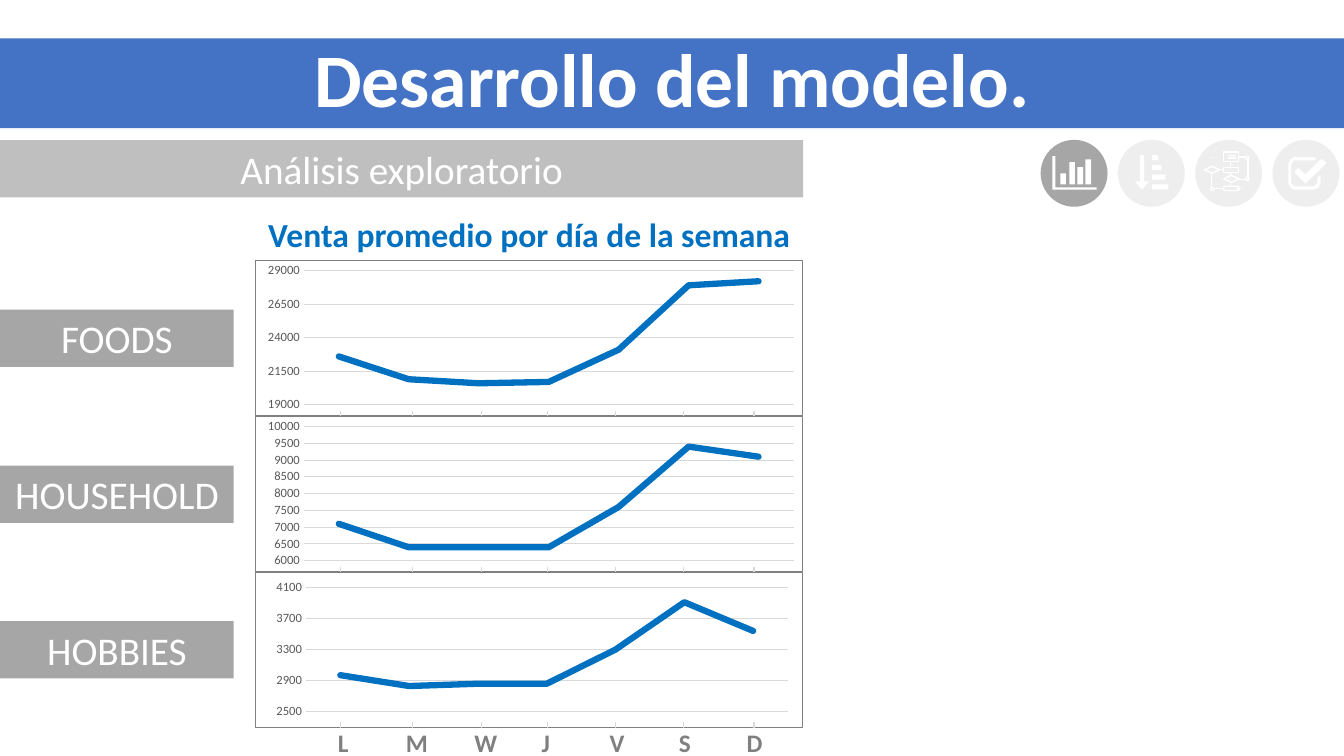
from dataclasses import dataclass
from lxml.etree import SubElement
from pptx import Presentation
from pptx.chart.data import CategoryChartData
from pptx.dml.color import RGBColor
from pptx.enum.chart import XL_CHART_TYPE, XL_TICK_MARK
from pptx.enum.shapes import MSO_CONNECTOR, MSO_SHAPE
from pptx.enum.text import MSO_ANCHOR, PP_ALIGN
from pptx.oxml import parse_xml
from pptx.oxml.ns import nsdecls, qn
from pptx.util import Pt

FONT = "Calibri"
HEX = {
    "band": "4472C4", "line": "0070C0", "white": "FFFFFF", "grid": "D9D9D9",
    "head": "BFBFBF", "tag": "A6A6A6", "edge": "808080", "axis": "595959",
    "black": "000000",
}
RECT, OVAL = MSO_SHAPE.RECTANGLE, MSO_SHAPE.OVAL
DIAMOND, ROUND = MSO_SHAPE.DIAMOND, MSO_SHAPE.ROUNDED_RECTANGLE

Box = tuple[float, float, float, float]
Path = list[tuple[float, float]]


@dataclass
class Style:
    size: float
    color: str
    bold: bool = False
    align: PP_ALIGN = PP_ALIGN.CENTER


@dataclass
class Panel:
    name: str
    top: float
    low: float
    high: float
    step: float
    plot: Box
    vals: tuple[float, ...]


WIDE = (0.088, 0.064, 0.895, 0.866)
PANELS = [
    Panel("FOODS", 185.8, 19000, 29000, 2500, WIDE,
          (22600, 20900, 20600, 20700, 23100, 27900, 28200)),
    Panel("HOUSEHOLD", 297.2, 6000, 10000, 500, WIDE,
          (7100, 6400, 6400, 6400, 7600, 9400, 9100)),
    Panel("HOBBIES", 408.3, 2500, 4100, 400, (0.092, 0.099, 0.88, 0.802),
          (2970, 2830, 2860, 2860, 3300, 3910, 3540)),
]
LEFT, WIDTH, TALL = 182.2, 391.7, 111.5
TICKS = (243.4, 294.5, 344.2, 391.4, 439.9, 488.2, 538.6)
DAYS = {"L": 245.2, "M": 294.8, "W": 343.8, "J": 389.9,
        "V": 440.3, "S": 489.2, "D": 538.2}


def block(x: float, y: float, w: float, h: float) -> Path:
    """Corners of a rectangle."""
    return [(x, y), (x + w, y), (x + w, y + h), (x, y + h)]


BARS = [block(x, y, 4, 131.8 - y) for x, y in
        ((757.4, 123.8), (769.7, 119.5), (763.9, 115.9), (775.4, 113.8))]
BARS.append([(751.7, 111.6), (753.8, 111.6), (753.8, 133.9),
             (783.4, 133.9), (783.4, 135.4), (751.7, 135.4)])
SORT = [block(823, 110.9 + 6.97 * i, w, 3.5)
        for i, w in enumerate((4.3, 6.5, 9.4, 11.5))]
SORT.append([(814.3, 110.9), (817.2, 110.9), (817.2, 129.6), (820.8, 129.6),
             (815.8, 135.4), (810.7, 129.6), (814.3, 129.6)])
CHECK = [
    [(944.6, 113.8), (947.5, 116.6), (932.4, 131), (924.5, 122.9),
     (927.4, 119.8), (932.4, 124.6), (943.2, 113.8)],
    [(924.5, 112.3), (938.2, 112.3), (940.3, 113.3), (938.9, 114.5),
     (924.5, 114.5), (922.3, 117.4), (922.3, 131), (924.5, 133.2),
     (938.2, 133.2), (941, 131), (941, 126.7), (943.2, 125.3),
     (943.2, 131), (941.8, 133.9), (938.2, 135.4), (924.5, 135.4),
     (921.6, 133.9), (920.2, 131), (920.2, 117.4), (921.6, 113.8)],
]
NODES = [
    (RECT, (874.1, 108.7, 10.8, 6.5)), (RECT, (874.1, 119.5, 10.8, 3.6)),
    (DIAMOND, (860.4, 118.8, 10.8, 5)), (DIAMOND, (874.1, 125.3, 10.8, 5)),
    (OVAL, (864.7, 133.9, 2.2, 2.2)), (ROUND, (874.1, 133.2, 10.8, 2.9)),
    (OVAL, (889.9, 111.6, 2.2, 2.2)), (OVAL, (889.9, 126.7, 2.2, 2.2)),
]
LINKS = [
    (879.1, 115.2, 879.1, 119.5), (870.5, 121, 874.1, 121),
    (865.4, 133.9, 865.4, 123.8), (889.9, 112.3, 884.9, 112.3),
    (891.4, 113, 891.4, 126.7), (882.7, 110.9, 877, 110.9),
    (882.7, 113, 877, 113), (879.1, 123.1, 879.1, 125.3),
    (879.1, 130.3, 879.1, 133.2), (874.1, 134.6, 866.2, 134.6),
    (884.9, 128.2, 889.9, 128.2),
]


def rgb(name: str) -> RGBColor:
    return RGBColor.from_string(HEX[name])


def write(frame, text: str, style: Style) -> None:
    para = frame.paragraphs[0]
    para.alignment = style.align
    run = para.add_run()
    run.text = text
    font = run.font
    font.name, font.size, font.bold = FONT, Pt(style.size), style.bold
    font.color.rgb = rgb(style.color)


def label(shapes, box: Box, text: str, style: Style, wrap: bool = True):
    frame = shapes.add_textbox(*map(Pt, box)).text_frame
    frame.word_wrap = wrap
    write(frame, text, style)
    return frame


def paint(shape, fill: str | None, edge: str | None = None) -> None:
    shape.shadow.inherit = False
    if fill:
        shape.fill.solid()
        shape.fill.fore_color.rgb = rgb(fill)
    else:
        shape.fill.background()
    if edge:
        shape.line.color.rgb = rgb(edge)
        shape.line.width = Pt(1)
    else:
        shape.line.fill.background()


def form(shapes, kind: MSO_SHAPE, box: Box, fill: str | None,
         edge: str | None = None):
    shape = shapes.add_shape(kind, *map(Pt, box))
    paint(shape, fill, edge)
    return shape


def banner(shapes, box: Box, fill: str, text: str) -> None:
    frame = form(shapes, RECT, box, fill).text_frame
    frame.vertical_anchor = MSO_ANCHOR.MIDDLE
    write(frame, text, Style(28, "white"))


def link(shapes, ends: Box, color: str, width: float) -> None:
    line = shapes.add_connector(MSO_CONNECTOR.STRAIGHT, *map(Pt, ends))
    line.line.color.rgb = rgb(color)
    line.line.width = Pt(width)
    SubElement(line.element.spPr, qn("a:effectLst"))


def icon(shapes, paths: list[Path]) -> None:
    """Draw closed outlines as one white shape."""
    spots = [[(Pt(x), Pt(y)) for x, y in path] for path in paths]
    pen = shapes.build_freeform(*spots[0][0], scale=1.0)
    for i, path in enumerate(spots):
        if i:
            pen.move_to(*path[0])
        pen.add_line_segments(path[1:], close=True)
    paint(pen.convert_to_shape(), "white")


def graph(shapes, panel: Panel) -> None:
    data = CategoryChartData(number_format="0")
    data.categories = [str(i) for i in range(1, 8)]
    data.add_series("Series 1", panel.vals)
    box = (LEFT, panel.top, WIDTH, TALL)
    chart = shapes.add_chart(XL_CHART_TYPE.LINE, *map(Pt, box), data).chart
    chart.has_legend = chart.has_title = False
    chart.font.name, chart.font.size = FONT, Pt(10)
    chart.font.color.rgb = rgb("black")
    chart.category_axis.visible = False
    axis = chart.value_axis
    axis.minimum_scale, axis.maximum_scale = panel.low, panel.high
    axis.major_unit = panel.step
    axis.major_tick_mark = axis.minor_tick_mark = XL_TICK_MARK.NONE
    axis.format.line.fill.background()
    grid = axis.major_gridlines.format.line
    grid.color.rgb, grid.width = rgb("grid"), Pt(0.75)
    marks = axis.tick_labels
    marks.number_format, marks.number_format_is_linked = "0", False
    marks.font.name, marks.font.size = FONT, Pt(9)
    marks.font.color.rgb = rgb("axis")
    plot = chart.plots[0]
    plot.vary_by_categories = False
    row = plot.series[0]
    row.smooth = False
    row.format.line.color.rgb = rgb("line")
    row.format.line.width = Pt(4.5)
    root = chart.element
    root.xpath(".//c:ser/c:spPr/a:ln")[0].set("cap", "rnd")
    area = root.xpath("c:chart/c:plotArea")[0]
    for old in area.findall(qn("c:layout")):
        area.remove(old)
    sides = "".join(f'<c:{k} val="{v}"/>' for k, v in zip("xywh", panel.plot))
    area.insert(0, parse_xml(
        f'<c:layout {nsdecls("c")}><c:manualLayout>'
        '<c:layoutTarget val="inner"/><c:xMode val="edge"/>'
        f'<c:yMode val="edge"/>{sides}</c:manualLayout></c:layout>'))
    root.find(qn("c:txPr")).addprevious(parse_xml(
        f'<c:spPr {nsdecls("c", "a")}><a:noFill/><a:ln w="{Pt(0.75)}">'
        f'<a:solidFill><a:srgbClr val="{HEX["edge"]}"/></a:solidFill>'
        '</a:ln></c:spPr>'))


def flow(shapes) -> None:
    """Draw the flow chart icon as a group."""
    parts = shapes.add_group_shape().shapes
    for kind, box in NODES:
        form(parts, kind, box, None, "white")
    for ends in LINKS:
        link(parts, ends, "white", 1)
    for x, y in ((883.4, 124.6), (864.7, 103)):
        frame = label(parts, (x, y, 5.8, 15.8), "…",
                      Style(7, "white", align=PP_ALIGN.LEFT), False)
        frame.margin_left = frame.margin_right = Pt(0)


def main() -> None:
    deck = Presentation()
    deck.slide_width, deck.slide_height = Pt(960), Pt(540)
    shapes = deck.slides.add_slide(deck.slide_layouts[6]).shapes
    band = (0, 27.4, 960, 64.1)
    form(shapes, RECT, band, "band")
    title = label(shapes, band, "Desarrollo del modelo.",
                  Style(54, "white", True))
    title.vertical_anchor = MSO_ANCHOR.MIDDLE
    title.paragraphs[0].line_spacing = 0.9
    banner(shapes, (0, 100.1, 573.8, 41), "head", "Análisis exploratorio")
    for day, x in DAYS.items():
        label(shapes, (x - 12, 516, 24, 29), day, Style(18, "edge", True),
              False)
    for panel in PANELS:
        graph(shapes, panel)
        banner(shapes, (0, panel.top + 35.4, 167, 41), "tag", panel.name)
        for x in TICKS:
            foot = panel.top + TALL
            link(shapes, (x, foot - 4, x, foot), "grid", 0.75)
    for i in range(4):
        form(shapes, OVAL, (743.8 + 55.2 * i, 100.4, 46.8, 46.8), "tag", "tag")
    for paths in (BARS, SORT, CHECK):
        icon(shapes, paths)
    flow(shapes)
    veil = form(shapes, RECT, (798.5, 99.4, 160.6, 52.6), "white")
    tint = veil.element.spPr.find(qn("a:solidFill"))[0]
    SubElement(tint, qn("a:alpha"), val="82000")
    label(shapes, (LEFT, 149, WIDTH, 36), "Venta promedio por día de la semana",
          Style(24, "line", True))
    deck.save("out.pptx")


if __name__ == "__main__":
    main()
